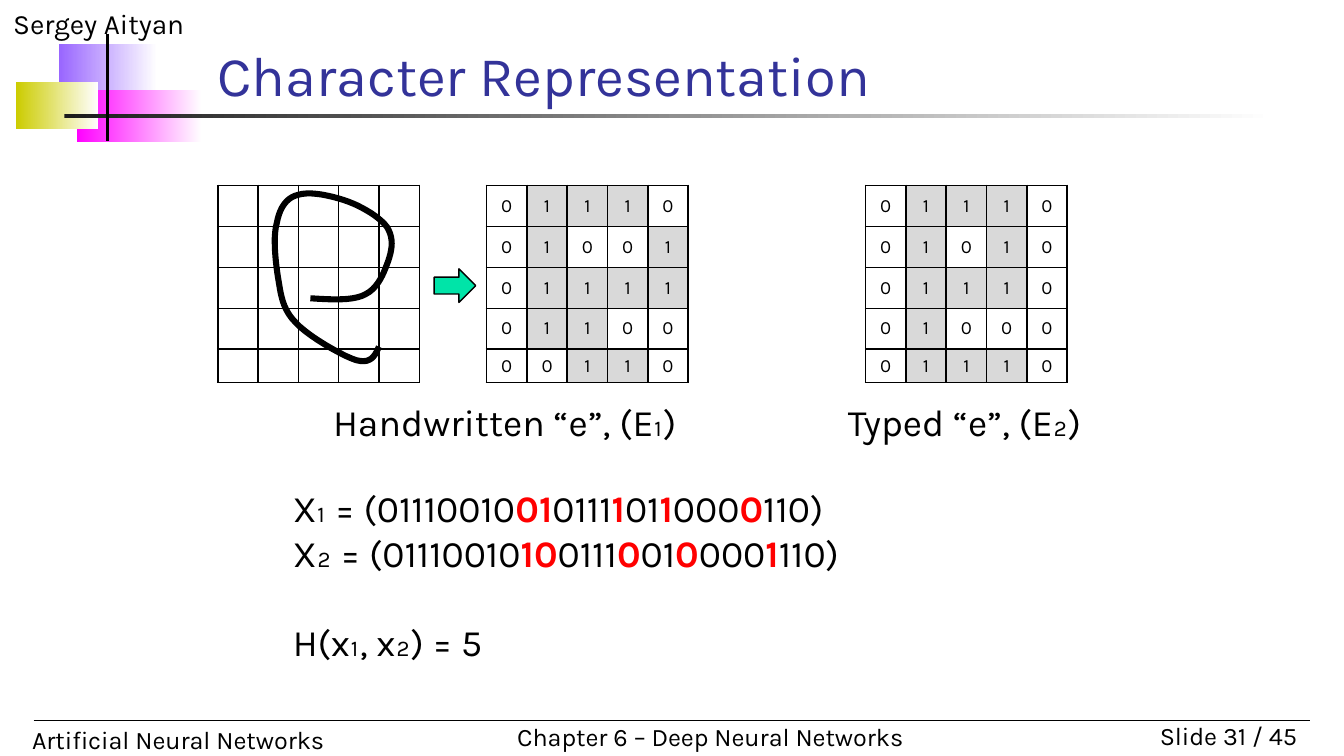
from lxml import etree
from pptx import Presentation
from pptx import util as u
from pptx.dml.color import RGBColor
from pptx.enum import shapes, text
from pptx.oxml.ns import qn

BLACK = RGBColor(0x00, 0x00, 0x00)
WHITE = RGBColor(0xFF, 0xFF, 0xFF)
CHARCOAL = RGBColor(0x1C, 0x1C, 0x1C)
GREY = RGBColor(0xD9, 0xD9, 0xD9)
NAVY = RGBColor(0x33, 0x33, 0x99)
RED = RGBColor(0xFF, 0x00, 0x00)
GREEN = RGBColor(0x00, 0xE4, 0xA8)
VIOLET = RGBColor(0x99, 0x66, 0xFF)
MAGENTA = RGBColor(0xFF, 0x00, 0xFF)
OLIVE = RGBColor(0xCC, 0xCC, 0x00)

GRID_HEIGHT = 1.46
LAST_ROW = 0.24
HANDWRITTEN_BITS = ["01110", "01001", "01111", "01100", "00110"]
TYPED_BITS = ["01110", "01010", "01110", "01000", "01110"]
BLANK_GRID = [" " * 5] * 5
STROKE_START = (2.31, 2.22)
STROKE_CURVES = [
    ((2.47, 2.23), (2.63, 2.24), (2.72, 2.19)),
    ((2.82, 2.14), (2.86, 2.02), (2.89, 1.94)),
    ((2.92, 1.85), (2.93, 1.77), (2.88, 1.69)),
    ((2.83, 1.62), (2.70, 1.54), (2.59, 1.50)),
    ((2.48, 1.46), (2.31, 1.42), (2.22, 1.45)),
    ((2.13, 1.47), (2.08, 1.55), (2.06, 1.66)),
    ((2.03, 1.76), (2.05, 1.95), (2.07, 2.07)),
    ((2.09, 2.19), (2.10, 2.30), (2.20, 2.40)),
    ((2.29, 2.50), (2.55, 2.65), (2.65, 2.68)),
    ((2.76, 2.71), (2.79, 2.65), (2.82, 2.58)),
]


def inches(*lengths):
    return [u.Inches(length) for length in lengths]


def curve_points(start, curves, steps=10):
    points = []
    for first, second, end in curves:
        for step in range(1, steps + 1):
            t = step / steps
            weights = ((1 - t) ** 3, 3 * t * (1 - t) ** 2, 3 * t * t * (1 - t), t ** 3)
            corners = (start, first, second, end)
            points.append(inches(*(
                sum(weight * corner[axis] for weight, corner in zip(weights, corners))
                for axis in (0, 1))))
        start = end
    return points


class SlideBuilder:
    """Holds the font and the current page, and draws each kind of element."""

    font = "Karla"

    def __init__(self, page):
        self.page = page

    def add_span(self, para, words, size, color=BLACK, bold=False):
        span = para.add_run()
        span.text = words
        span.font.name = self.font
        span.font.size = u.Pt(size)
        span.font.bold = bold
        span.font.color.rgb = color

    def add_box(self, at, wrap=True, anchor=text.MSO_ANCHOR.TOP):
        frame = self.page.shapes.add_textbox(*inches(*at)).text_frame
        frame.word_wrap = wrap
        frame.vertical_anchor = anchor
        return frame

    def add_label(self, at, words, size, color=BLACK, align=text.PP_ALIGN.LEFT, **box_style):
        para = self.add_box(at, **box_style).paragraphs[0]
        para.alignment = align
        self.add_span(para, words, size, color)

    def add_vectors(self, at, lines, size):
        frame = self.add_box(at)
        for index, (segments, gap) in enumerate(lines):
            para = frame.add_paragraph() if index else frame.paragraphs[0]
            para.space_before = u.Pt(gap)
            for place, words in enumerate(segments):
                differs = place % 2 == 1
                self.add_span(para, words, size, RED if differs else BLACK, differs)

    def add_fade(self, at, color):
        bar = self.page.shapes.add_shape(shapes.MSO_SHAPE.RECTANGLE, *inches(*at))
        bar.shadow.inherit = False
        bar.line.fill.background()
        bar.fill.gradient()
        bar.fill.gradient_angle = 0
        for stop, place, shade in zip(bar.fill.gradient_stops, (0, 1), (color, WHITE)):
            stop.position = place
            stop.color.rgb = shade

    def add_line(self, start, end, width):
        line = self.page.shapes.add_connector(
            shapes.MSO_CONNECTOR.STRAIGHT, *inches(*start, *end))
        line.line.color.rgb = BLACK
        line.line.width = u.Pt(width)
        etree.SubElement(line._element.spPr, qn("a:effectLst"))

    def add_arrow(self, at, color):
        arrow = self.page.shapes.add_shape(shapes.MSO_SHAPE.RIGHT_ARROW, *inches(*at))
        arrow.shadow.inherit = False
        arrow.fill.solid()
        arrow.fill.fore_color.rgb = color
        arrow.line.color.rgb = BLACK
        arrow.line.width = u.Pt(0.75)

    def add_stroke(self, start, curves, width):
        builder = self.page.shapes.build_freeform(*inches(*start))
        builder.add_line_segments(curve_points(start, curves), close=False)
        stroke = builder.convert_to_shape()
        stroke.shadow.inherit = False
        stroke.fill.background()
        stroke.line.color.rgb = BLACK
        stroke.line.width = u.Pt(width)

    def add_borders(self, cell):
        properties = cell._tc.get_or_add_tcPr()
        for side in ("a:lnL", "a:lnR", "a:lnT", "a:lnB"):
            edge = etree.SubElement(properties, qn(side), w=str(u.Pt(1)))
            fill = etree.SubElement(edge, qn("a:solidFill"))
            etree.SubElement(fill, qn("a:srgbClr"), val=str(BLACK))

    def add_grid(self, left, bits):
        table = self.page.shapes.add_table(5, 5, *inches(left, 1.38, 1.5, GRID_HEIGHT)).table
        table.first_row = table.horz_banding = False
        for column in table.columns:
            column.width = u.Inches(0.3)
        for index, row in enumerate(table.rows):
            row.height = u.Inches((GRID_HEIGHT - LAST_ROW) / 4 if index < 4 else LAST_ROW)
            for cell, bit in zip(row.cells, bits[index]):
                self.add_cell(cell, bit.strip())

    def add_cell(self, cell, bit):
        cell.margin_left = cell.margin_right = u.Inches(0.07)
        cell.margin_top = cell.margin_bottom = u.Inches(0.04)
        cell.vertical_anchor = text.MSO_ANCHOR.MIDDLE
        self.add_borders(cell)
        if bit == "1":
            cell.fill.solid()
            cell.fill.fore_color.rgb = GREY
        else:
            cell.fill.background()
        para = cell.text_frame.paragraphs[0]
        para.alignment = text.PP_ALIGN.CENTER
        if bit:
            self.add_span(para, bit, 10)
        else:
            etree.SubElement(para._p, qn("a:endParaRPr"), sz="1000")


def main():
    deck = Presentation()
    deck.slide_width, deck.slide_height = inches(10, 10 * 9 / 16)
    slide = SlideBuilder(deck.slides.add_slide(deck.slide_layouts[6]))

    slide.add_fade((0.44, 0.33, 0.73, 0.39), VIOLET)
    slide.add_fade((0.57, 0.67, 0.93, 0.39), MAGENTA)
    slide.add_fade((0.12, 0.61, 0.61, 0.35), OLIVE)
    slide.add_fade((0.48, 0.85, 9, 0.03), CHARCOAL)
    slide.add_label((0, 0, 2.5, 0.35), "Sergey Aityan", 15)
    slide.add_label((8.25, 5.31, 1.5, 0.33), "Slide 31 / 45", 13.5, align=text.PP_ALIGN.RIGHT)
    slide.add_label((0.14, 5.34, 3.7, 0.33), "Artificial Neural Networks", 13.5)
    slide.add_label((3.75, 5.32, 3.12, 0.33), "Chapter 6 – Deep Neural Networks", 13.5, wrap=False)
    slide.add_line((0.25, 5.36), (9.75, 5.36), 0.75)
    slide.add_line((0.8, 0.25), (0.8, 1.05), 2)
    slide.add_label((1.52, 0.31, 7.35, 0.54), "Character Representation", 30, NAVY,
                    anchor=text.MSO_ANCHOR.BOTTOM)

    slide.add_grid(6.44, TYPED_BITS)
    slide.add_vectors((2.08, 3.56, 5.38, 1.38), [
        (["X₁ = (01110010", "01", "0111", "1", "01", "1", "000", "0", "110)"], 0),
        (["X₂ = (01110010", "10", "0111", "0", "01", "0", "000", "1", "110)"], 0),
        (["H(x₁, x₂) = 5"], 24),
    ], 20)
    slide.add_grid(1.62, BLANK_GRID)
    slide.add_stroke(STROKE_START, STROKE_CURVES, 3.25)
    slide.add_grid(3.62, HANDWRITTEN_BITS)
    slide.add_label((2.38, 2.92, 2.83, 0.44), "Handwritten “e”, (E₁)", 20, wrap=False)
    slide.add_label((6.21, 2.92, 2.05, 0.44), "Typed “e”, (E₂)", 20, wrap=False)
    slide.add_arrow((3.23, 2, 0.31, 0.25), GREEN)
    deck.save("out.pptx")


if __name__ == "__main__":
    main()
